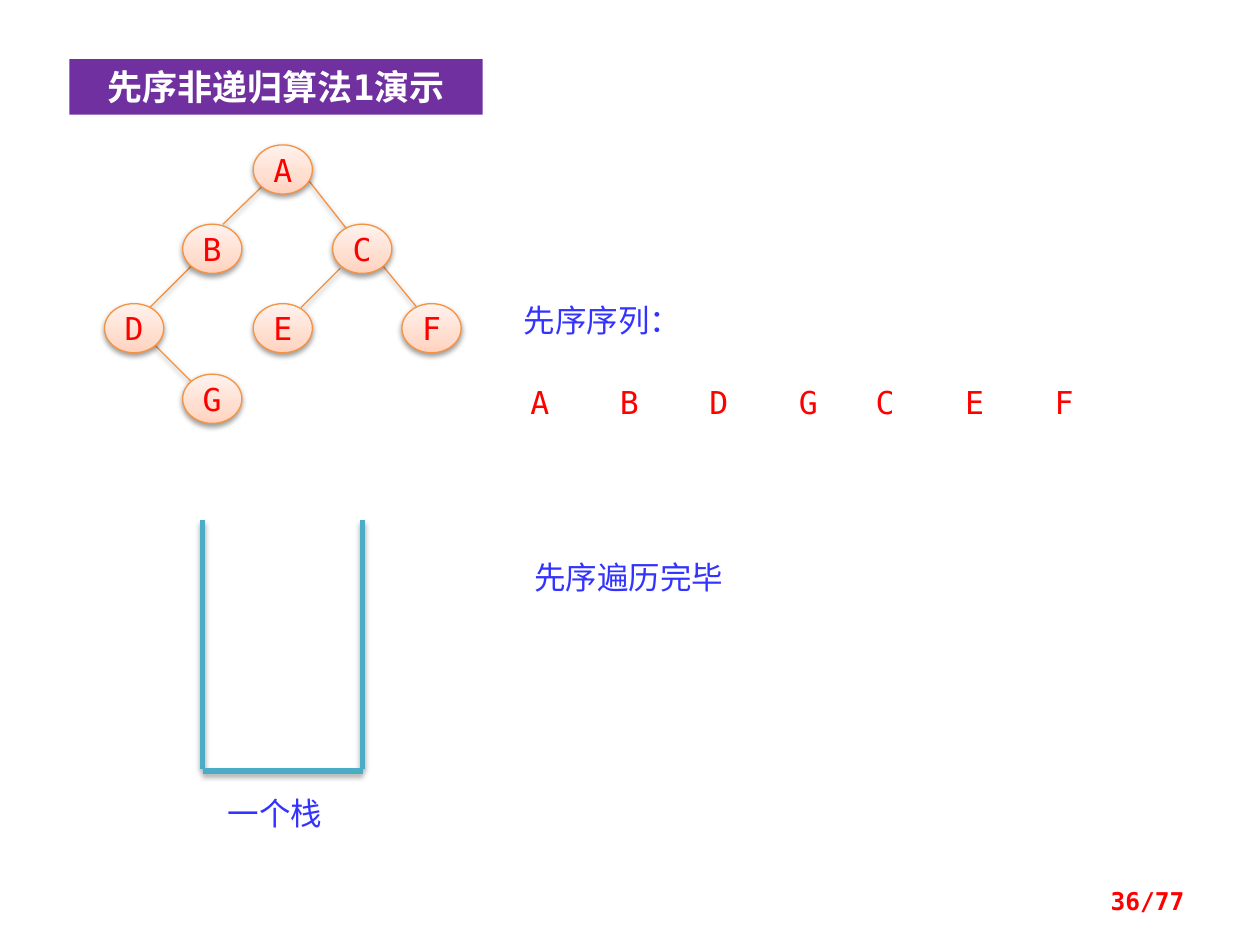
import copy
from typing import NamedTuple

import pptx
import pptx.dml.color
import pptx.enum.shapes
import pptx.enum.text
import pptx.oxml
import pptx.oxml.ns
import pptx.util

Inches = pptx.util.Inches
Pt = pptx.util.Pt
ALIGN = pptx.enum.text.PP_ALIGN
MIDDLE = pptx.enum.text.MSO_ANCHOR.MIDDLE

COLORS = {
    "banner": "7030A0", "white": "FFFFFF", "letter": "FF0000",
    "label": "3333FF", "tree": "F69240", "stack": "4BACC6",
}
NODE_GRADIENT = [(0, "FFD2BD"), (0.35, "FFDED0"), (1, "FFF2ED")]
LATIN_FONT, CJK_FONT = "DejaVu Sans Mono", "Noto Sans CJK SC"
NODE_WIDTH, NODE_HEIGHT = 0.47, 0.39


class Node(NamedTuple):
    letter: str
    left: float
    top: float


class Line(NamedTuple):
    x1: float
    y1: float
    x2: float
    y2: float


class Label(NamedTuple):
    text: str
    left: float
    top: float
    width: float


EDGES = [
    Line(1.22, 2.73, 1.53, 3.04),  # D-G
    Line(2.09, 1.47, 1.77, 1.78),  # A-B
    Line(2.44, 1.42, 2.77, 1.84),  # A-C
    Line(1.53, 2.1, 1.14, 2.49),   # B-D
    Line(2.7, 2.13, 2.39, 2.44),   # C-E
    Line(3.03, 2.1, 3.35, 2.49),   # C-F
]
NODES = [
    Node("A", 2.01, 1.15), Node("B", 1.45, 1.78), Node("C", 2.64, 1.78),
    Node("D", 0.83, 2.41), Node("E", 2.01, 2.41), Node("G", 1.45, 2.97),
    Node("F", 3.19, 2.41),
]
STACK_WALLS = [
    Line(1.61, 4.13, 1.61, 6.1), Line(2.88, 4.13, 2.88, 6.1),
    Line(1.61, 6.12, 2.88, 6.12),
]
LABELS = [
    Label("一个栈", 1.71, 6.25, 1.26),
    Label("先序序列：", 4.06, 2.34, 1.89),
    Label("先序遍历完毕", 4.14, 4.38, 2.99),
]
PREORDER = {"A": 4.05, "B": 4.76, "D": 5.47, "G": 6.18, "C": 6.79, "E": 7.5, "F": 8.21}


def rgb(name: str) -> pptx.dml.color.RGBColor:
    return pptx.dml.color.RGBColor.from_string(COLORS.get(name, name))


def write(shape, text: str, color: str, size: float = 18, align=ALIGN.LEFT,
          bold: bool = False) -> None:
    shape.text_frame.text = text
    paragraph = shape.text_frame.paragraphs[0]
    paragraph.alignment = align
    font = paragraph.runs[0].font
    font.size, font.bold, font.name = Pt(size), bold, LATIN_FONT
    font.color.rgb = rgb(color)
    east_asian = pptx.oxml.parse_xml(
        f'<a:ea {pptx.oxml.ns.nsdecls("a")} typeface="{CJK_FONT}"/>')
    paragraph.runs[0]._r.rPr.find(pptx.oxml.ns.qn("a:latin")).addnext(east_asian)


def add_shadow(shape, opacity: int, distance: float) -> None:
    shape._element.spPr.append(pptx.oxml.parse_xml(
        f'<a:effectLst {pptx.oxml.ns.nsdecls("a")}>'
        f'<a:outerShdw blurRad="{Pt(3.1)}" dist="{Pt(distance)}" dir="5400000" rotWithShape="0">'
        f'<a:srgbClr val="000000"><a:alpha val="{opacity * 1000}"/></a:srgbClr>'
        '</a:outerShdw></a:effectLst>'))


def add_line(slide, line: Line, color: str, weight: float, opacity: int,
             distance: float) -> None:
    connector = slide.shapes.add_connector(
        pptx.enum.shapes.MSO_CONNECTOR.STRAIGHT, *(Inches(value) for value in line))
    connector.line.color.rgb = rgb(color)
    connector.line.width = Pt(weight)
    add_shadow(connector, opacity, distance)


def add_node(slide, node: Node) -> None:
    oval = slide.shapes.add_shape(
        pptx.enum.shapes.MSO_SHAPE.OVAL, Inches(node.left), Inches(node.top),
        Inches(NODE_WIDTH), Inches(NODE_HEIGHT))
    oval.fill.gradient()
    oval.fill.gradient_angle = 90
    stop_list = oval._element.spPr.find(".//" + pptx.oxml.ns.qn("a:gsLst"))
    stop_list.append(copy.deepcopy(stop_list[0]))
    for stop, (position, color) in zip(oval.fill.gradient_stops, NODE_GRADIENT):
        stop.position = position
        stop.color.rgb = rgb(color)
    oval.line.color.rgb = rgb("tree")
    oval.line.width = Pt(0.75)
    add_shadow(oval, 38, 1.6)
    oval.text_frame.word_wrap = False
    oval.text_frame.vertical_anchor = MIDDLE
    write(oval, node.letter, "letter", align=ALIGN.CENTER)


def add_text(slide, label: Label, color: str, height: float = 0.4, **style):
    box = slide.shapes.add_textbox(
        Inches(label.left), Inches(label.top), Inches(label.width), Inches(height))
    box.text_frame.word_wrap = True
    write(box, label.text, color, **style)
    return box


def add_title(slide, text: str) -> None:
    title = slide.shapes.title
    title.left, title.top = Inches(0.55), Inches(0.47)
    title.width, title.height = Inches(3.28), Inches(0.44)
    title.fill.solid()
    title.fill.fore_color.rgb = rgb("banner")
    title.text_frame.auto_size = pptx.enum.text.MSO_AUTO_SIZE.NONE
    title.text_frame.vertical_anchor = MIDDLE
    write(title, text, "white", 20, ALIGN.CENTER, bold=True)


def main() -> None:
    deck = pptx.Presentation()
    deck.slide_width, deck.slide_height = Inches(10), Inches(7.5)
    slide = deck.slides.add_slide(deck.slide_layouts[5])
    add_title(slide, "先序非递归算法1演示")

    # Binary tree
    for edge in EDGES:
        add_line(slide, edge, "tree", 0.75, 38, 1.6)
    for node in NODES:
        add_node(slide, node)

    # Empty stack
    for wall in STACK_WALLS:
        add_line(slide, wall, "stack", 3, 35, 1.8)

    # Labels and the preorder sequence
    for label in LABELS:
        add_text(slide, label, "label")
    for letter, left in PREORDER.items():
        visited = add_text(slide, Label(letter, left, 3.04, NODE_WIDTH), "letter",
                           height=0.3, align=ALIGN.CENTER)
        frame = visited.text_frame
        frame.margin_left = frame.margin_right = frame.margin_top = frame.margin_bottom = 0

    # Page number
    page_number = add_text(slide, Label("36/77", 7.17, 6.95, 2.33), "letter",
                           size=14, align=ALIGN.RIGHT, bold=True)
    page_number.text_frame.vertical_anchor = MIDDLE

    deck.save("out.pptx")


if __name__ == "__main__":
    main()
